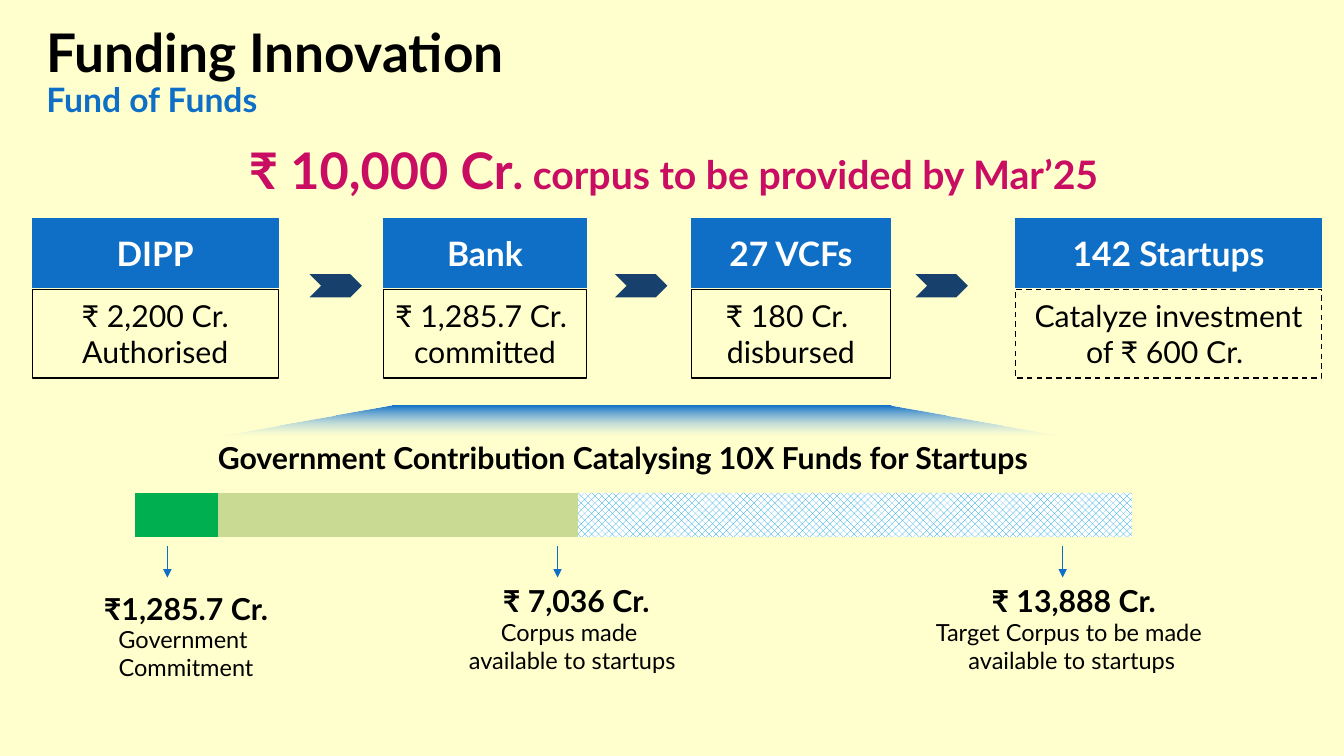
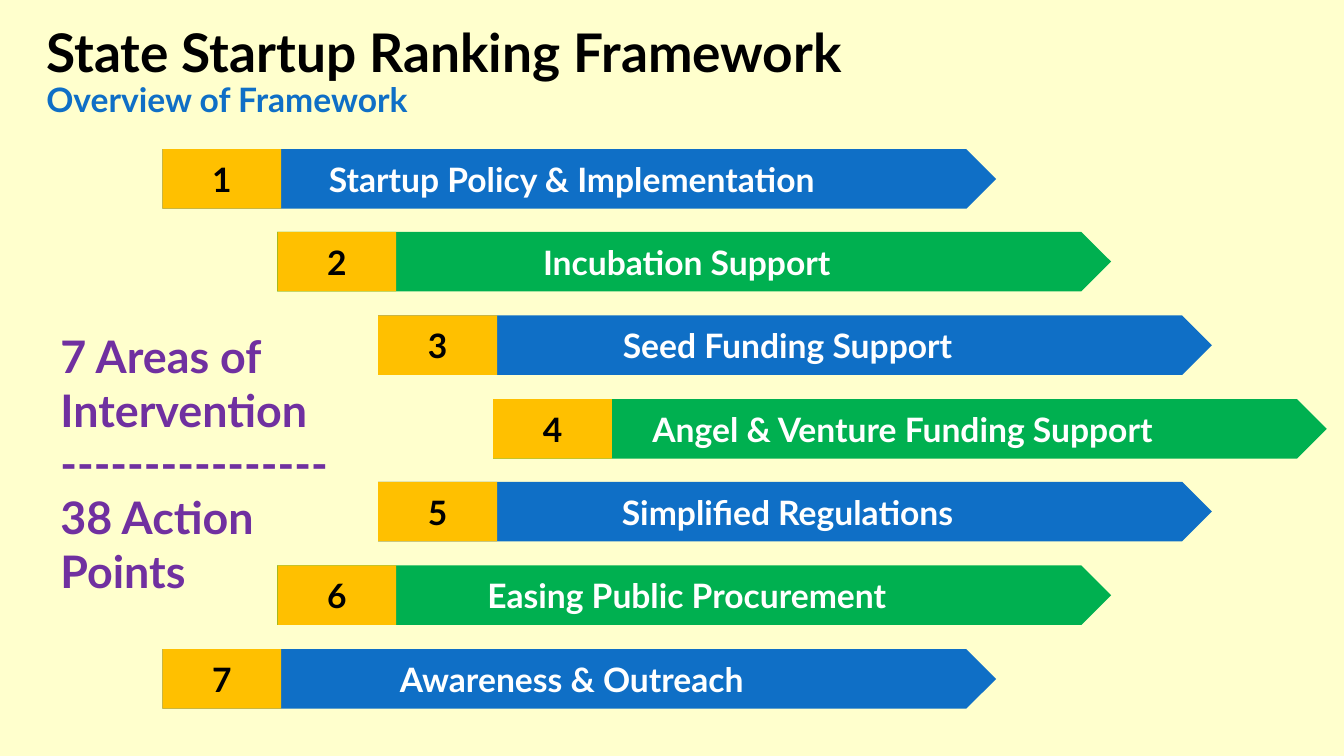
from lxml import etree
from pptx import Presentation, util as u
from pptx.chart.data import CategoryChartData
from pptx.dml.color import RGBColor
from pptx.enum import chart as ch, dml, shapes, text
from pptx.oxml import ns

COLORS = {
    "cream": "FFFFCD", "blue": "0F6FC6", "navy": "17406D", "sky": "009DD9",
    "pale blue": "ACD4F9", "green": "00B050", "pale green": "C9DA92",
    "amber": "FFC000", "pink": "C90D62", "purple": "7030A0",
    "black": "000000", "white": "FFFFFF",
}
FONT = "Lato"
SHAPE = shapes.MSO_SHAPE
CENTER, LEFT = text.PP_ALIGN.CENTER, text.PP_ALIGN.LEFT
TITLE_AREA = (36, 0, 1262, 145)


def px(value):
    """Turn px, a hundred to the inch, into EMU."""
    return u.Emu(value * 9144)


def scaled(area):
    return [px(value) for value in area]


def color(name):
    return RGBColor.from_string(COLORS[name])


def add_span(para, words, size, ink="black", bold=False):
    span = para.add_run()
    span.text = words
    span.font.name = FONT
    span.font.size = u.Pt(size)
    span.font.bold = bold
    span.font.color.rgb = color(ink)


def next_para(frame, first, align):
    para = frame.paragraphs[0] if first else frame.add_paragraph()
    para.alignment = align
    return para


def write(frame, lines, size, ink="black", bold=False, align=CENTER):
    frame.word_wrap = True
    for index, line in enumerate(lines):
        add_span(next_para(frame, index == 0, align), line, size, ink, bold)


def add_box(page, kind, area, fill=None, line=None, width=0.85):
    box = page.shapes.add_shape(kind, *scaled(area))
    box.shadow.inherit = False
    if fill:
        box.fill.solid()
        box.fill.fore_color.rgb = color(fill)
    else:
        box.fill.background()
    if line:
        box.line.color.rgb = color(line)
        box.line.width = u.Pt(width)
    else:
        box.line.fill.background()
    box.text_frame.vertical_anchor = text.MSO_ANCHOR.MIDDLE
    return box


def add_label(page, area, lines, size, **style):
    box = page.shapes.add_textbox(*scaled(area))
    write(box.text_frame, lines, size, **style)


def add_page(deck, title, subtitle):
    page = deck.slides.add_slide(deck.slide_layouts[5])
    frame = page.shapes.title.text_frame
    frame.auto_size = text.MSO_AUTO_SIZE.NONE
    for words, size, ink in ((title, 38, "black"), (subtitle, 24, "blue")):
        para = next_para(frame, words is title, LEFT)
        para.line_spacing = 0.9
        add_span(para, words, size, ink, True)
    return page


def add_stage(page, left, width, name, lines, dashed=False):
    """Add a blue heading with an outlined box of figures under it."""
    heading = add_box(page, SHAPE.RECTANGLE, (left, 217, width, 68), "blue", "blue")
    write(heading.text_frame, [name], 24, "white", True)
    detail = add_box(page, SHAPE.RECTANGLE, (left, 287, width, 88), line="black")
    if dashed:
        detail.line.width = u.Pt(1)
        detail.line.dash_style = dml.MSO_LINE.DASH
    write(detail.text_frame, lines, 21.6)


def add_headline(page):
    box = page.shapes.add_textbox(*scaled((36, 140, 1264, 55)))
    frame = box.text_frame
    frame.word_wrap = True
    frame.vertical_anchor = text.MSO_ANCHOR.MIDDLE
    para = next_para(frame, True, CENTER)
    for words, size in (("₹ 10,000 Cr", 36), (".", 32),
                        (" corpus to be provided by Mar’25", 28)):
        add_span(para, words, size, "pink", True)


def add_funnel(page):
    funnel = add_box(page, SHAPE.TRAPEZOID, (219, 402, 835, 30))
    funnel.adjustments[0] = 5.68
    funnel.fill.gradient()
    funnel.fill.gradient_angle = 270
    for stop, name in zip(funnel.fill.gradient_stops, ("blue", "pale blue")):
        stop.color.rgb = color(name)
    faded = list(funnel.element.iter(ns.qn("a:srgbClr")))[-1]
    etree.SubElement(faded, ns.qn("a:alpha"), val="0")


def place_plot(chart, **fractions):
    """Fix the inner plot area as fractions of the chart."""
    area = chart.element.find(".//" + ns.qn("c:plotArea"))
    for old in area.findall(ns.qn("c:layout")):
        area.remove(old)
    layout = etree.Element(ns.qn("c:layout"))
    manual = etree.SubElement(layout, ns.qn("c:manualLayout"))
    settings = {"layoutTarget": "inner", "xMode": "edge", "yMode": "edge", **fractions}
    for tag, value in settings.items():
        etree.SubElement(manual, ns.qn("c:" + tag), val=str(value))
    area.insert(0, layout)


def add_fund_bar(page):
    data = CategoryChartData()
    data.categories = ["1"]
    for number, value in enumerate((9, 39, 100), 1):
        data.add_series(f"Series {number}", [value])
    chart = page.shapes.add_chart(
        ch.XL_CHART_TYPE.BAR_STACKED, *scaled((100, 456, 1124, 110)), data).chart
    chart.has_legend = chart.has_title = False
    chart.font.name = "Calibri"
    chart.font.size = u.Pt(10)
    chart.font.color.rgb = color("black")
    for axis in (chart.category_axis, chart.value_axis):
        axis.visible = axis.has_major_gridlines = False
    chart.value_axis.minimum_scale = 0
    chart.value_axis.maximum_scale = 108
    plot = chart.plots[0]
    plot.gap_width, plot.overlap = 150, 100
    plot.vary_by_categories = False
    committed, available, target = [series.format.fill for series in plot.series]
    for fill, name in ((committed, "green"), (available, "pale green")):
        fill.solid()
        fill.fore_color.rgb = color(name)
    target.patterned()
    target.pattern = dml.MSO_PATTERN.PERCENT_50
    target.fore_color.rgb = color("sky")
    target.back_color.rgb = color("white")
    place_plot(chart, x=0.03, y=0, w=0.88, h=1)


def add_down_arrow(page, x):
    arrow = page.shapes.add_connector(
        shapes.MSO_CONNECTOR.STRAIGHT, *scaled((x, 542, x, 573)))
    arrow.line.color.rgb = color("blue")
    arrow.line.width = u.Pt(0.75)
    etree.SubElement(arrow.line._get_or_add_ln(), ns.qn("a:tailEnd"), type="triangle")
    etree.SubElement(arrow.element.spPr, ns.qn("a:effectLst"))


def add_area_row(page, number, left, top, name, fill):
    """Add one numbered arrow of the framework."""
    plate = add_box(page, SHAPE.PENTAGON, (left, top, 827, 59), fill)
    badge = add_box(page, SHAPE.RECTANGLE, (left, top, 118, 59), "amber")
    for box, words, ink in ((plate, name, "white"), (badge, str(number), "black")):
        frame = box.text_frame
        frame.margin_left = frame.margin_right = px(5)
        frame.margin_top = frame.margin_bottom = px(5)
        write(frame, [words], 24, ink, True)


def build_funding(deck):
    page = add_page(deck, "Funding Innovation", "Fund of Funds")
    add_headline(page)
    add_stage(page, 32, 244, "DIPP", ["₹ 2,200 Cr. Authorised"])
    add_stage(page, 380, 202, "Bank", ["₹ 1,285.7 Cr. ", "committed"])
    add_stage(page, 686, 197, "27 VCFs", ["₹ 180 Cr. ", "disbursed"])
    add_stage(page, 1007, 304, "142 Startups",
              ["Catalyze investment of ₹ 600 Cr. "], dashed=True)
    for left in (307, 610, 908):
        add_box(page, SHAPE.CHEVRON, (left, 272, 52, 23), "navy")
    add_funnel(page)
    add_label(page, (121, 431, 994, 46),
              ["Government Contribution Catalysing 10X Funds for Startups"],
              21.6, bold=True)
    add_fund_bar(page)
    callouts = (
        (166, (71, 581, 227, 46), "₹1,285.7 Cr.",
         (94, 615, 181, 67), ["Government ", "Commitment"]),
        (553, (467, 573, 209, 46), "₹ 7,036 Cr.",
         (449, 608, 237, 67), ["Corpus made ", "available to startups"]),
        (1054, (950, 573, 230, 46), "₹ 13,888 Cr.",
         (914, 608, 298, 67), ["Target Corpus to be made ", "available to startups"]),
    )
    for x, amount_area, amount, caption_area, caption in callouts:
        add_down_arrow(page, x)
        add_label(page, amount_area, [amount], 21.6, bold=True)
        add_label(page, caption_area, caption, 16.8)


def build_framework(deck):
    page = add_page(deck, "State Startup Ranking Framework", "Overview of Framework")
    rows = (
        (161, "Startup Policy & Implementation"),
        (275, "Incubation Support"),
        (375, "Seed Funding Support"),
        (489, "Angel & Venture Funding Support"),
        (375, "Simplified Regulations"),
        (275, "Easing Public Procurement"),
        (161, "Awareness & Outreach"),
    )
    first_top, last_top = 148, 644
    for index, (left, name) in enumerate(rows):
        top = first_top + index * (last_top - first_top) // (len(rows) - 1)
        add_area_row(page, index + 1, left, top, name, ("blue", "green")[index % 2])
    add_label(page, (50, 321, 341, 279),
              ["7 Areas of Intervention", "-" * 16, "38 Action", "Points"],
              32, ink="purple", bold=True, align=LEFT)


def main():
    deck = Presentation()
    deck.slide_width, deck.slide_height = px(1333), px(750)
    backdrop = deck.slide_master.background.fill
    backdrop.solid()
    backdrop.fore_color.rgb = color("cream")
    title = deck.slide_layouts[5].placeholders[0]
    title.left, title.top, title.width, title.height = scaled(TITLE_AREA)
    build_funding(deck)
    build_framework(deck)
    deck.save("out.pptx")


if __name__ == "__main__":
    main()
